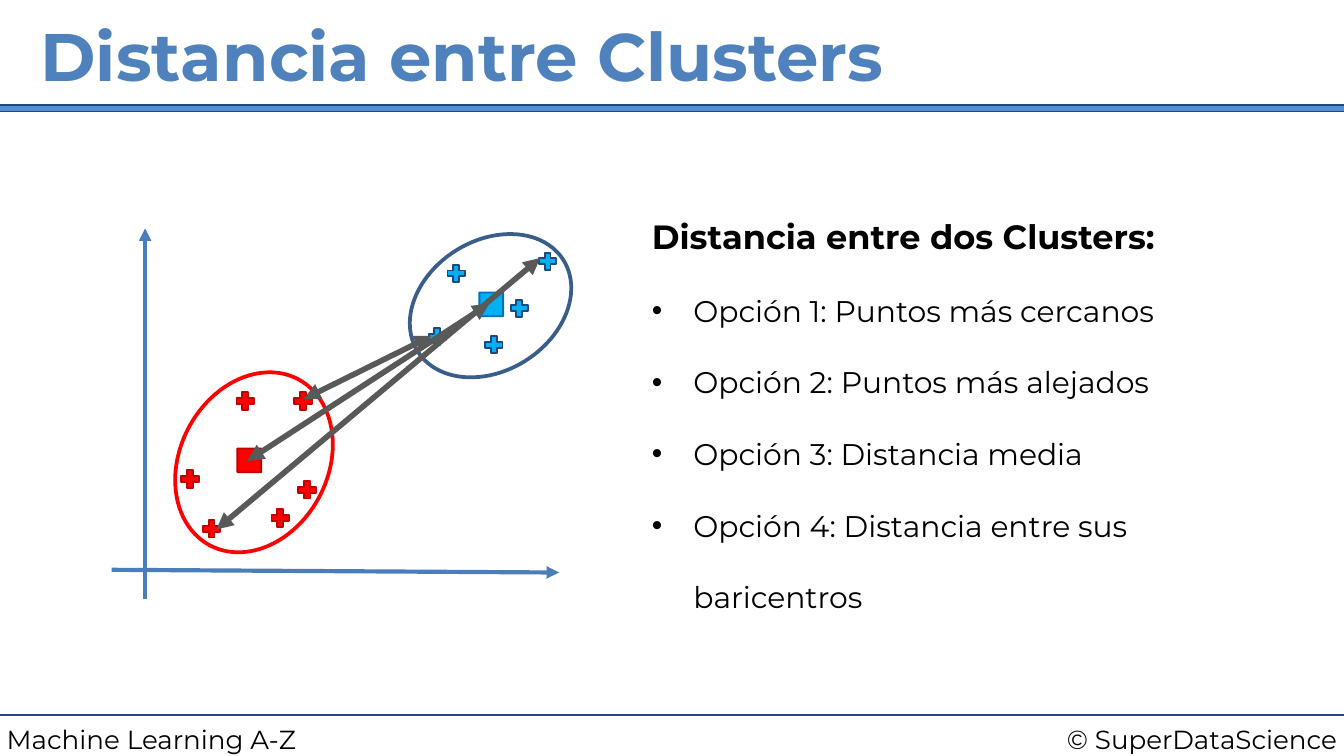
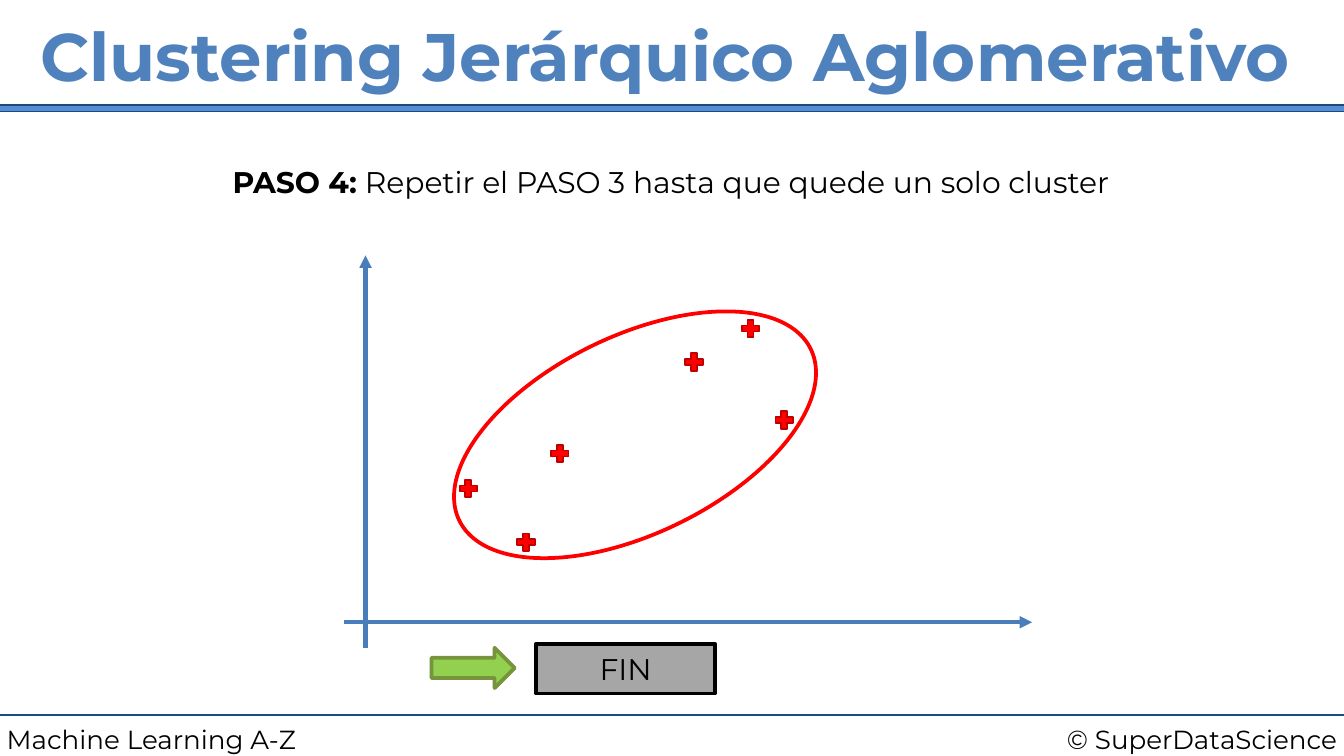
"""Build two slides on cluster distances and agglomerative hierarchical clustering."""
import pptx
import pptx.dml.color
import pptx.enum.shapes
import pptx.enum.text
import pptx.oxml.ns
import pptx.util
import lxml.etree

PX = 9144
FONT = "Montserrat"
RGB = pptx.dml.color.RGBColor
SHAPE = pptx.enum.shapes.MSO_SHAPE
ALIGN = pptx.enum.text.PP_ALIGN
ANCHOR = pptx.enum.text.MSO_ANCHOR
AUTO_SIZE = pptx.enum.text.MSO_AUTO_SIZE

BLACK = RGB(0x00, 0x00, 0x00)
TITLE_BLUE = RGB(0x4F, 0x81, 0xBD)
BAND_BLUE = RGB(0x55, 0x8E, 0xD5)
NAVY = RGB(0x1F, 0x49, 0x7D)
AXIS_BLUE = RGB(0x4A, 0x7E, 0xBB)
OUTLINE_BLUE = RGB(0x3A, 0x5E, 0x8A)
SKY = RGB(0x00, 0xB0, 0xF0)
SKY_EDGE = RGB(0x00, 0x70, 0xC0)
RED = RGB(0xFF, 0x00, 0x00)
RED_EDGE = RGB(0xC0, 0x00, 0x00)
ARROW_GREY = RGB(0x59, 0x59, 0x59)
BOX_GREY = RGB(0xA6, 0xA6, 0xA6)
GREEN = RGB(0x92, 0xD0, 0x50)
GREEN_EDGE = RGB(0x77, 0x93, 0x3C)

CROSS_SIZE = 13
CENTROID_SIZE = 25
INDENT = 31
FOOTER_LINE = ((0, 532, 1000, 532), NAVY, 1.5, ())
FOOTERS = [
    ((708, 533, 292, 34), "© SuperDataScience", ALIGN.RIGHT),
    ((0, 533, 325, 34), "Machine Learning A-Z", ALIGN.LEFT),
]


def draw(page, kind, box, fill, edge, width, turn=0):
    """Add a preset shape with its fill, outline and rotation."""
    shape = page.shapes.add_shape(kind, *[value * PX for value in box])
    shape.shadow.inherit = False
    shape.rotation = turn
    if fill is None:
        shape.fill.background()
    else:
        shape.fill.solid()
        shape.fill.fore_color.rgb = fill
    shape.line.color.rgb = edge
    shape.line.width = pptx.util.Pt(width)
    return shape


def write(shape, paragraphs, color=BLACK, align=ALIGN.LEFT, anchor=ANCHOR.TOP,
          spacing=1.0, auto_size=AUTO_SIZE.NONE):
    """Fill a shape with (bulleted, runs) paragraphs, each run (text, size, bold)."""
    frame = shape.text_frame
    layout = {"word_wrap": True, "auto_size": auto_size, "vertical_anchor": anchor}
    layout.update({f"margin_{side}": 5 * PX for side in ("left", "right", "top", "bottom")})
    for name, value in layout.items():
        setattr(frame, name, value)
    for index, (bulleted, runs) in enumerate(paragraphs):
        para = frame.add_paragraph() if index else frame.paragraphs[0]
        if bulleted:
            properties = para._p.get_or_add_pPr()
            properties.set("marL", str(INDENT * PX))
            properties.set("indent", str(-INDENT * PX))
            for tag, key, value in (("a:buFont", "typeface", "Arial"), ("a:buChar", "char", "•")):
                lxml.etree.SubElement(properties, pptx.oxml.ns.qn(tag)).set(key, value)
        para.alignment = align
        para.line_spacing = spacing
        for text, size, bold in runs:
            span = para.add_run()
            span.text = text
            for name, value in {"name": FONT, "size": pptx.util.Pt(size), "bold": bold}.items():
                setattr(span.font, name, value)
            span.font.color.rgb = color


SLIDES = [
    {
        "title": "Distancia entre Clusters",
        "centroids": [((173, 330), RED, RED_EDGE), ((353, 214), SKY, SKY_EDGE)],
        "ellipses": [((301, 179, 128, 97), OUTLINE_BLUE, 328), ((134, 274, 110, 140), RED, 28)],
        "crosses": [
            (RED, RED_EDGE, [(135, 350), (176, 292), (219, 292), (202, 379), (222, 358), (151, 387)]),
            (SKY, NAVY, [(319, 244), (361, 250), (380, 223), (333, 197), (401, 188)]),
        ],
        "axes": [(108, 446, 108, 170), (83, 424, 416, 426)],
        "distances": [(226, 297, 321, 250), (161, 394, 402, 192), (184, 343, 364, 226)],
        "text_box": (480, 126, 481, 256),
        "text_style": {"spacing": 2.0},
        "text": [(False, [("Distancia entre dos Clusters:", 18, True)])] + [
            (True, [(f"Opción {number}: {option}", 16, False)])
            for number, option in enumerate([
                "Puntos más cercanos",
                "Puntos más alejados",
                "Distancia media",
                "Distancia entre sus baricentros",
            ], 1)
        ],
    },
    {
        "title": "Clustering Jerárquico Aglomerativo",
        "centroids": [],
        "ellipses": [((399, 178, 147, 291), RED, 244)],
        "crosses": [
            (RED, RED_EDGE, [(577, 306), (342, 357), (385, 397), (410, 331), (510, 263), (552, 238)]),
        ],
        "axes": [(272, 482, 272, 190), (256, 463, 768, 463)],
        "distances": [],
        "text_box": (6, 117, 987, 63),
        "text_style": {"align": ALIGN.CENTER},
        "text": [(False, [
            ("PASO 4:", 16, True),
            (" Repetir el PASO 3 hasta que quede un solo cluster", 16, False),
        ])],
    },
]

deck = pptx.Presentation()
deck.slide_width = 1000 * PX
deck.slide_height = deck.slide_width * 9 // 16

for content in SLIDES:
    page = deck.slides.add_slide(deck.slide_layouts[5])
    title = page.shapes.title
    for name, value in {"left": 25, "top": 0, "width": 950, "height": 81}.items():
        setattr(title, name, value * PX)
    write(title, [(False, [(content["title"], 36, True)])], TITLE_BLUE, anchor=ANCHOR.MIDDLE)
    draw(page, SHAPE.RECTANGLE, (-4, 78, 1008, 5), BAND_BLUE, NAVY, 0.75)
    for box, text, align in FOOTERS:
        footer = page.shapes.add_textbox(*[value * PX for value in box])
        write(footer, [(False, [(text, 14, False)])], align=align,
              auto_size=AUTO_SIZE.SHAPE_TO_FIT_TEXT)

    for corner, fill, edge in content["centroids"]:
        draw(page, SHAPE.DIAMOND, (*corner, CENTROID_SIZE, CENTROID_SIZE), fill, edge, 1, 315)
    for box, edge, turn in content["ellipses"]:
        draw(page, SHAPE.OVAL, box, None, edge, 2, turn)
    for fill, edge, corners in content["crosses"]:
        for corner in corners:
            cross = draw(page, SHAPE.CROSS, (*corner, CROSS_SIZE, CROSS_SIZE), fill, edge, 1)
            cross.adjustments[0] = 0.33

    lines = [FOOTER_LINE]
    lines += [(ends, AXIS_BLUE, 2.25, ("a:tailEnd",)) for ends in content["axes"]]
    lines += [(ends, ARROW_GREY, 3, ("a:headEnd", "a:tailEnd")) for ends in content["distances"]]
    for ends, color, width, arrowheads in lines:
        connector = page.shapes.add_connector(
            pptx.enum.shapes.MSO_CONNECTOR.STRAIGHT, *[value * PX for value in ends])
        connector.line.color.rgb = color
        connector.line.width = pptx.util.Pt(width)
        for tag in arrowheads:
            head = lxml.etree.SubElement(connector.line._get_or_add_ln(), pptx.oxml.ns.qn(tag))
            head.set("type", "triangle")
        lxml.etree.SubElement(connector._element.spPr, pptx.oxml.ns.qn("a:effectLst"))

    body = page.shapes.add_textbox(*[value * PX for value in content["text_box"]])
    write(body, content["text"], auto_size=AUTO_SIZE.SHAPE_TO_FIT_TEXT, **content["text_style"])

draw(page, SHAPE.RIGHT_ARROW, (321, 482, 62, 30), GREEN, GREEN_EDGE, 2)
end_box = draw(page, SHAPE.RECTANGLE, (399, 479, 133, 37), BOX_GREY, BLACK, 2)
write(end_box, [(False, [("FIN", 16, False)])], align=ALIGN.CENTER, anchor=ANCHOR.MIDDLE)

deck.save("out.pptx")
